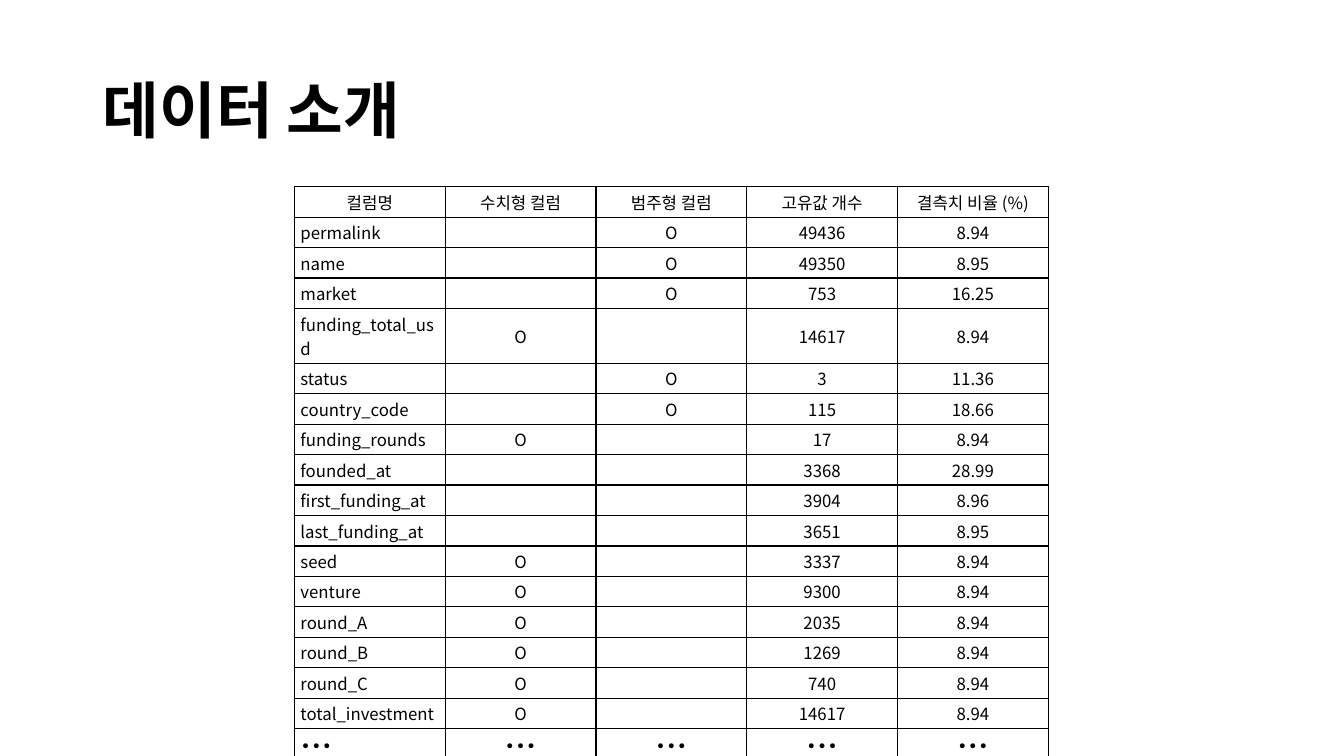
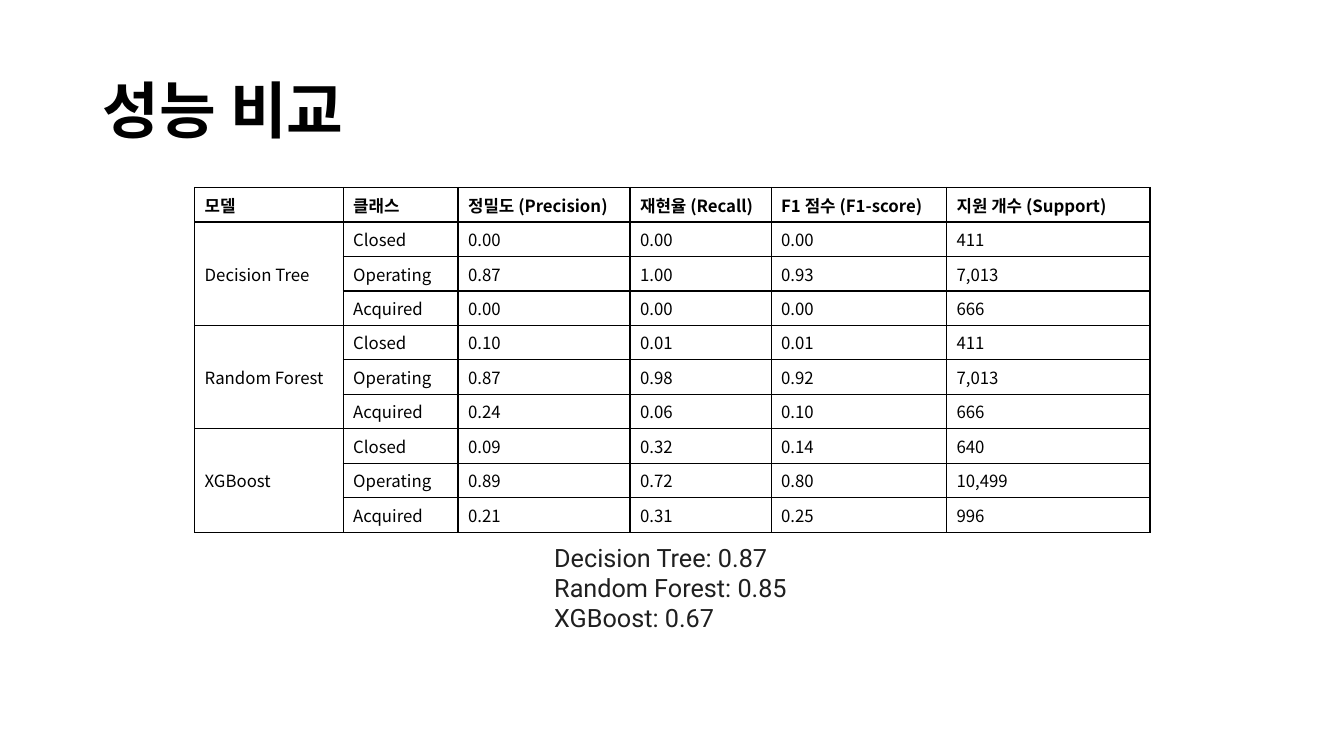
from dataclasses import dataclass

from lxml.etree import SubElement
from pptx import Presentation
from pptx.dml.color import RGBColor
from pptx.enum.text import MSO_ANCHOR as Anchor, MSO_AUTO_SIZE as AutoSize, PP_ALIGN as Align
from pptx.oxml.ns import qn
from pptx.util import Inches, Pt


@dataclass(frozen=True)
class Theme:
    ink: str = "000000"
    note_ink: str = "1F1F1F"
    paper: str = "FFFFFF"
    font: str = "Noto Sans CJK KR"
    note_font: str = "Roboto"
    title_size: int = 44
    cell_size: int = 12
    note_size: int = 18
    border: int = 1


THEME = Theme()
WIDTH, HEIGHT = Inches(13.33), Inches(7.5)
TITLE_ONLY = 5
TITLE_AREA = (6.9, 5.33, 86.25, 19.33)

COLUMN_HEADS = ("컬럼명", "수치형 컬럼", "범주형 컬럼", "고유값 개수", "결측치 비율 (%)")
NUMERIC, CATEGORY, NEITHER = ("O", ""), ("", "O"), ("", "")
DATA_COLUMNS = (
    ("permalink", CATEGORY, "49436", "8.94"),
    ("name", CATEGORY, "49350", "8.95"),
    ("market", CATEGORY, "753", "16.25"),
    ("funding_total_usd", NUMERIC, "14617", "8.94"),
    ("status", CATEGORY, "3", "11.36"),
    ("country_code", CATEGORY, "115", "18.66"),
    ("funding_rounds", NUMERIC, "17", "8.94"),
    ("founded_at", NEITHER, "3368", "28.99"),
    ("first_funding_at", NEITHER, "3904", "8.96"),
    ("last_funding_at", NEITHER, "3651", "8.95"),
    ("seed", NUMERIC, "3337", "8.94"),
    ("venture", NUMERIC, "9300", "8.94"),
    ("round_A", NUMERIC, "2035", "8.94"),
    ("round_B", NUMERIC, "1269", "8.94"),
    ("round_C", NUMERIC, "740", "8.94"),
    ("total_investment", NUMERIC, "14617", "8.94"),
)

SCORE_HEADS = ("모델", "클래스", "정밀도 (Precision)", "재현율 (Recall)",
               "F1 점수 (F1-score)", "지원 개수 (Support)")
CLASSES = ("Closed", "Operating", "Acquired")
SCORES = {
    "Decision Tree": (("0.00", "0.00", "0.00", "411"),
                      ("0.87", "1.00", "0.93", "7,013"),
                      ("0.00", "0.00", "0.00", "666")),
    "Random Forest": (("0.10", "0.01", "0.01", "411"),
                      ("0.87", "0.98", "0.92", "7,013"),
                      ("0.24", "0.06", "0.10", "666")),
    "XGBoost": (("0.09", "0.32", "0.14", "640"),
                ("0.89", "0.72", "0.80", "10,499"),
                ("0.21", "0.31", "0.25", "996")),
}
ACCURACY = ("Decision Tree: 0.87", "Random Forest: 0.85", "XGBoost: 0.67")


def across(percent):
    return round(WIDTH * percent / 100)


def down(percent):
    return round(HEIGHT * percent / 100)


def area(left, top, width, height):
    return across(left), down(top), across(width), down(height)


def apply(target, values):
    for name, value in values.items():
        setattr(target, name, value)


def write(para, text, size, color=THEME.ink, font=THEME.font, bold=False):
    if not text:
        SubElement(para._p, qn("a:endParaRPr"), sz=str(size * 100))
        return
    span = para.add_run()
    span.text = text
    apply(span.font, {"name": font, "size": Pt(size), "bold": bold})
    span.font.color.rgb = RGBColor.from_string(color)
    SubElement(span.font._element, qn("a:ea"), typeface=font)


def add_page(deck, title):
    page = deck.slides.add_slide(deck.slide_layouts[TITLE_ONLY])
    page.background.fill.solid()
    page.background.fill.fore_color.rgb = RGBColor.from_string(THEME.paper)
    box = page.shapes.title
    apply(box, dict(zip(("left", "top", "width", "height"), area(*TITLE_AREA))))
    apply(box.text_frame, {"vertical_anchor": Anchor.MIDDLE, "word_wrap": True,
                           "auto_size": AutoSize.NONE})
    para = box.text_frame.paragraphs[0]
    apply(para, {"alignment": Align.LEFT, "line_spacing": 0.9})
    write(para, title, THEME.title_size, bold=True)
    return page


def outline(cell):
    properties = cell._tc.get_or_add_tcPr()
    for side in ("lnL", "lnR", "lnT", "lnB"):
        line = SubElement(properties, qn(f"a:{side}"), w=str(Pt(THEME.border)))
        fill = SubElement(line, qn("a:solidFill"))
        SubElement(fill, qn("a:srgbClr"), val=THEME.ink)


def add_grid(page, left, top, widths, height, rows, style, align, bold_head=False):
    frame = page.shapes.add_table(len(rows), len(widths),
                                  *area(left, top, sum(widths), height))
    table = frame.table
    apply(table, {"first_row": False, "horz_banding": False})
    for column, width in zip(table.columns, widths):
        column.width = across(width)
    for r, row in enumerate(rows):
        for c, text in enumerate(row):
            cell = table.cell(r, c)
            outline(cell)
            cell.fill.background()
            apply(cell, {"vertical_anchor": Anchor.MIDDLE, **style})
            para = cell.text_frame.paragraphs[0]
            para.alignment = align(r, c)
            write(para, text, THEME.cell_size, bold=bold_head and r == 0)
    return table


def add_note(page, place, lines):
    box = page.shapes.add_textbox(*area(*place))
    apply(box.text_frame, {"word_wrap": False, "auto_size": AutoSize.SHAPE_TO_FIT_TEXT})
    for index, line in enumerate(lines):
        para = box.text_frame.add_paragraph() if index else box.text_frame.paragraphs[0]
        write(para, line, THEME.note_size, THEME.note_ink, THEME.note_font)


def add_data_page(deck):
    page = add_page(deck, "데이터 소개")
    rows = [COLUMN_HEADS]
    rows += [(name, *kind, unique, missing) for name, kind, unique, missing in DATA_COLUMNS]
    rows.append(("∙∙∙",) * len(COLUMN_HEADS))
    tight = {"margin_left": Inches(0.06), "margin_right": Inches(0.06),
             "margin_top": Inches(0.03), "margin_bottom": Inches(0.03)}
    add_grid(page, 21.91, 24.7, [11.22] * len(COLUMN_HEADS), 61.73, rows, tight,
             lambda r, c: Align.LEFT if r and c == 0 else Align.CENTER)


def add_score_page(deck):
    page = add_page(deck, "성능 비교")
    rows = [SCORE_HEADS]
    for model, results in SCORES.items():
        for index, (label, values) in enumerate(zip(CLASSES, results)):
            rows.append(("" if index else model, label, *values))
    table = add_grid(page, 14.48, 24.8, [11.05, 8.55, 12.8, 10.5, 13.05, 15.15], 40,
                     rows, {}, lambda r, c: Align.LEFT, bold_head=True)
    for first in range(1, len(rows), len(CLASSES)):
        table.cell(first, 0).merge(table.cell(first + len(CLASSES) - 1, 0))
    add_note(page, (40.5, 71.07, 19.05, 13.47), ACCURACY)


def main():
    deck = Presentation()
    apply(deck, {"slide_width": WIDTH, "slide_height": HEIGHT})
    add_data_page(deck)
    add_score_page(deck)
    deck.save("out.pptx")


if __name__ == "__main__":
    main()
